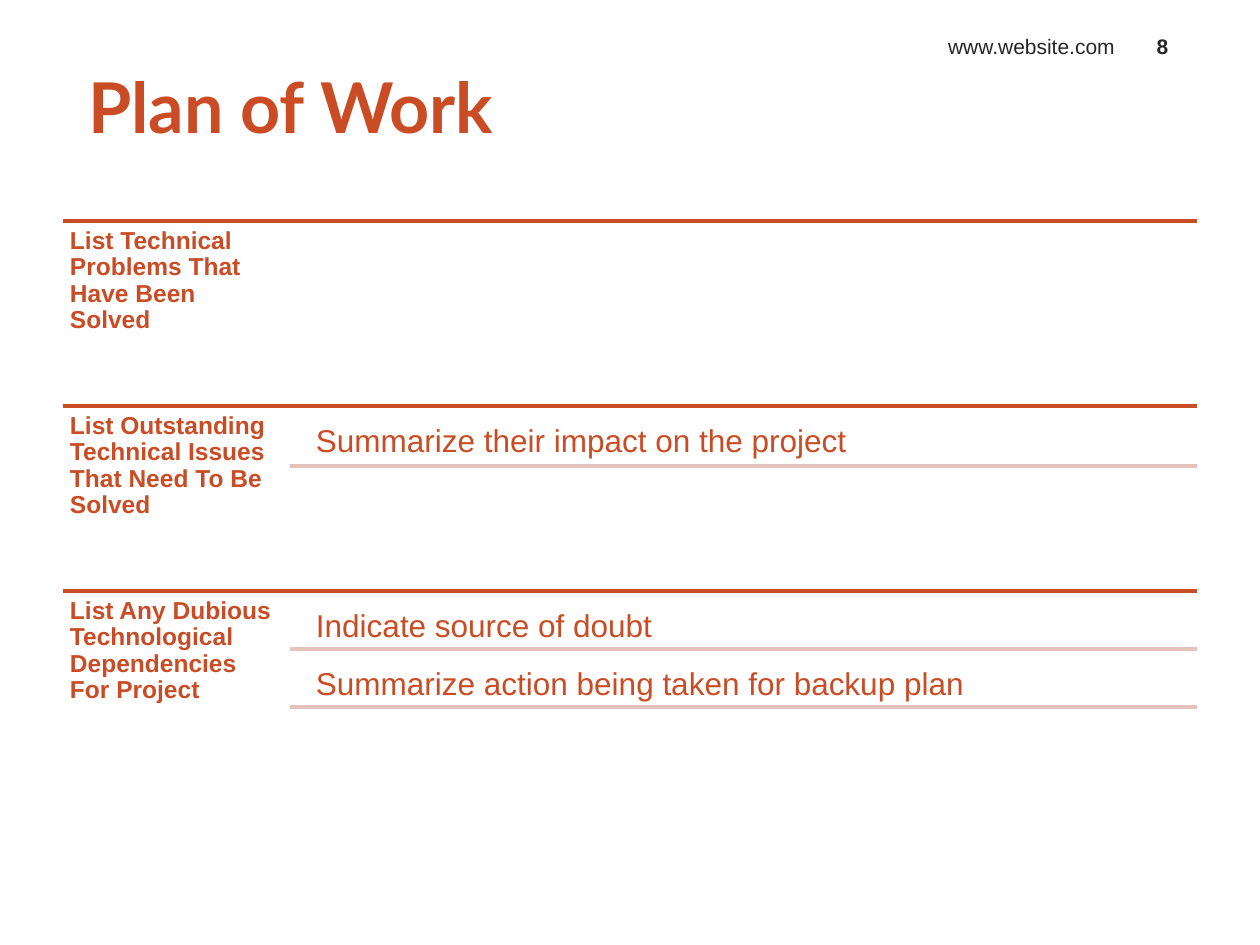
from dataclasses import dataclass

from lxml import etree
from pptx import Presentation
from pptx import util as u
from pptx.dml.color import RGBColor
from pptx.enum import shapes, text
from pptx.oxml.ns import qn

EMU_PER_PX = 914400 / 126


@dataclass(frozen=True)
class Theme:
    accent: str = "C94C25"
    rule: str = "E6C2BE"
    dark: str = "262626"
    heading_font: str = "Lato"
    body_font: str = "Arial"
    title_size: int = 40
    detail_size: int = 18
    label_size: int = 14
    header_size: int = 12


@dataclass(frozen=True)
class Detail:
    wording: str
    height: int


@dataclass(frozen=True)
class Section:
    label: str
    details: tuple[Detail, ...] = ()


THEME = Theme()
LEFT, RIGHT = 63, 1197
SECTIONS_TOP, SECTION_HEIGHT = 221, 185
LABEL_WIDTH, LABEL_GAP = 220, 7
DETAIL_INDENT, DETAIL_GAP = 17, 10

SECTIONS = (
    Section("List Technical Problems That Have Been Solved"),
    Section("List Outstanding Technical Issues That Need To Be Solved",
            (Detail("Summarize their impact on the project", 50),)),
    Section("List Any Dubious Technological Dependencies For Project",
            (Detail("Indicate source of doubt", 48),
             Detail("Summarize action being taken for backup plan", 48))),
)


def px(length: int) -> u.Emu:
    return u.Emu(round(length * EMU_PER_PX))


def write_text(shape, wording: str, *, size: int, color: str = THEME.accent,
               font: str = THEME.body_font, bold: bool = False,
               align=text.PP_ALIGN.LEFT, anchor=text.MSO_ANCHOR.TOP,
               inset: tuple[int, int] = (7, 7), line_spacing: float = 1.0,
               indent: int = 0) -> None:
    """Fill a shape with one formatted paragraph; inset is (sides, top and bottom)."""
    frame = shape.text_frame
    frame.word_wrap = True
    frame.auto_size = text.MSO_AUTO_SIZE.NONE
    frame.vertical_anchor = anchor
    frame.margin_left = frame.margin_right = px(inset[0])
    frame.margin_top = frame.margin_bottom = px(inset[1])
    paragraph = frame.paragraphs[0]
    paragraph.alignment = align
    paragraph.line_spacing = line_spacing
    if indent:
        properties = paragraph._p.get_or_add_pPr()
        properties.set("marL", str(px(indent)))
        properties.set("indent", "0")
    run = paragraph.add_run()
    run.text = wording
    run.font.name = font
    run.font.size = u.Pt(size)
    run.font.bold = bold
    run.font.color.rgb = RGBColor.from_string(color)


def add_text(slide, wording: str, left: int, top: int, width: int, height: int,
             **text_format) -> None:
    box = slide.shapes.add_textbox(px(left), px(top), px(width), px(height))
    write_text(box, wording, **text_format)


def add_rule(slide, left: int, top: int, color: str) -> None:
    """Draw a horizontal line from left to the right margin."""
    line = slide.shapes.add_connector(shapes.MSO_CONNECTOR.STRAIGHT,
                                      px(left), px(top), px(RIGHT), px(top))
    line.line.color.rgb = RGBColor.from_string(color)
    line.line.width = u.Pt(2)
    etree.SubElement(line._element.spPr, qn("a:effectLst"))


def add_section(slide, section: Section, top: int) -> None:
    add_rule(slide, LEFT, top, THEME.accent)
    add_text(slide, section.label, LEFT, top, LABEL_WIDTH, SECTION_HEIGHT,
             size=THEME.label_size, bold=True, line_spacing=0.9)
    rule_left = LEFT + LABEL_WIDTH + LABEL_GAP
    detail_left = rule_left + DETAIL_INDENT
    for detail in section.details:
        top += DETAIL_GAP
        add_text(slide, detail.wording, detail_left, top, RIGHT - detail_left,
                 detail.height, size=THEME.detail_size, inset=(9, 9),
                 line_spacing=0.9)
        top += detail.height
        add_rule(slide, rule_left, top, THEME.rule)


def add_title(slide, wording: str) -> None:
    title = slide.shapes.title
    title.left, title.top, title.width, title.height = map(px, (LEFT, 51, 672, 110))
    write_text(title, wording, size=THEME.title_size, font=THEME.heading_font,
               bold=True, anchor=text.MSO_ANCHOR.MIDDLE, inset=(0, 6), indent=25)


def add_header(slide) -> None:
    header = {"size": THEME.header_size, "color": THEME.dark, "inset": (13, 6),
              "anchor": text.MSO_ANCHOR.BOTTOM}
    add_text(slide, "www.website.com", 788, 23, 340, 42,
             align=text.PP_ALIGN.RIGHT, **header)
    add_text(slide, "8", 1128, 23, 69, 42, bold=True,
             align=text.PP_ALIGN.CENTER, **header)


def main() -> None:
    presentation = Presentation()
    presentation.slide_width, presentation.slide_height = px(1260), px(945)
    slide = presentation.slides.add_slide(
        presentation.slide_layouts.get_by_name("Title Only"))
    add_title(slide, "Plan of Work")
    for index, section in enumerate(SECTIONS):
        add_section(slide, section, SECTIONS_TOP + index * SECTION_HEIGHT)
    add_header(slide)
    presentation.save("out.pptx")


if __name__ == "__main__":
    main()
